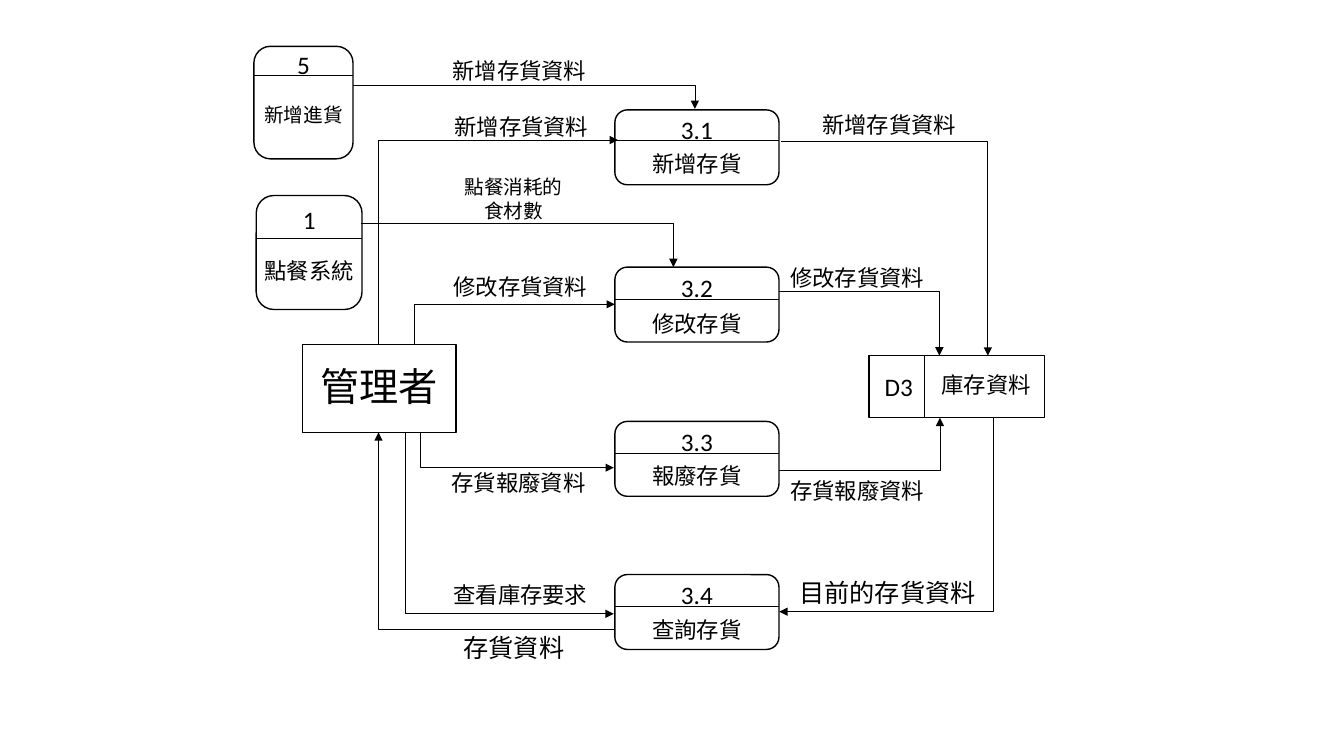
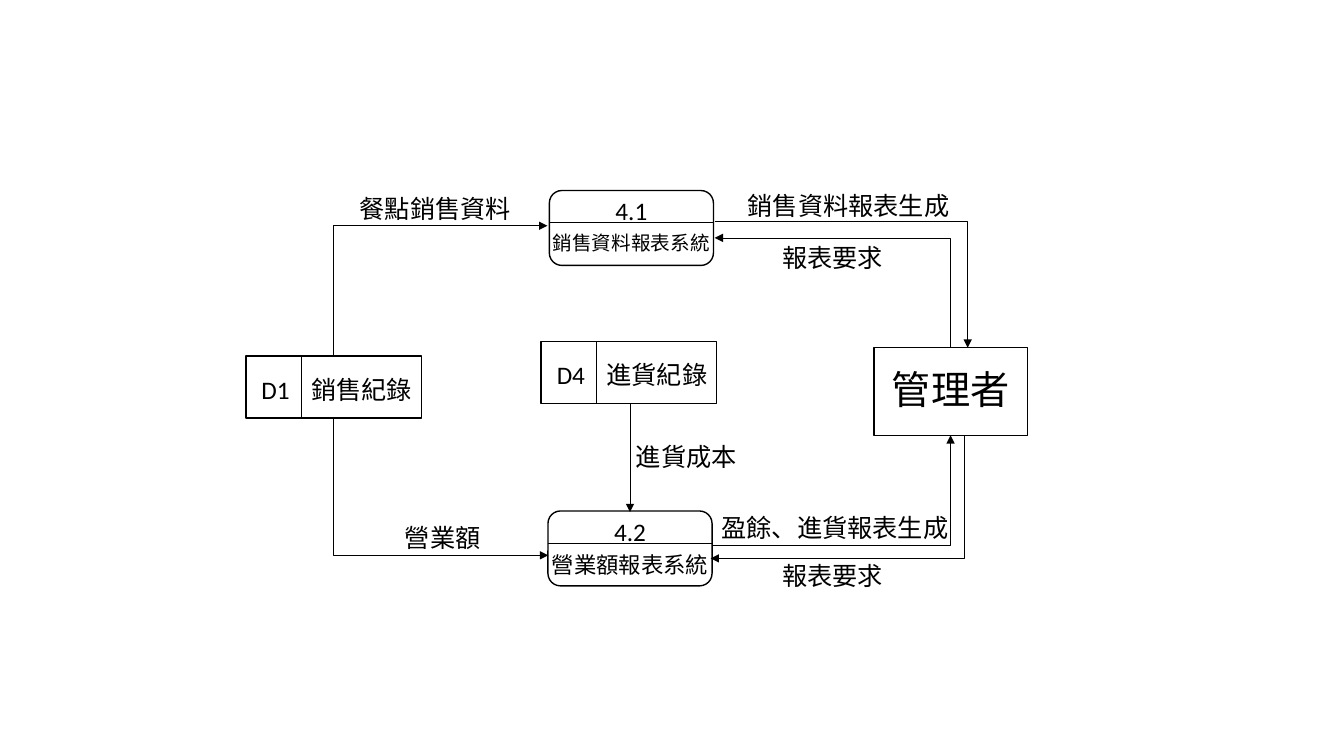
"""Draws two data-flow diagrams: stock management and report generation."""
from dataclasses import dataclass

from lxml import etree
from pptx import Presentation
from pptx.dml.color import RGBColor
from pptx.enum import shapes, text
from pptx.oxml import ns
from pptx.util import Pt


@dataclass(frozen=True)
class Theme:
    font: str = "Calibri"
    ink: RGBColor = RGBColor(0, 0, 0)
    outline: float = 1
    rule: float = 0.5
    small: int = 14
    body: int = 16
    large: int = 18
    actor: int = 28


T = Theme()
PROCESS = (117.2, 53.5)
STORE = (125.4, 44.4)
STORE_SPLIT = 39.6
ACTOR = (109.8, 62.8)
TO_SIDE, TO_EDGE = "headEnd", "tailEnd"

# Fields: processes = left, top, size, split, code offset, name offset, code, name, name size
#         stores = left, top, name offset, text offset, code, name, name size
#         flows = side end x, y, edge end x, y, arrow end
#         labels = left, top, width, text, size
STOCK = {
    "processes": [
        (181.4, 33.1, (70.8, 80.4), 20.5, -1.4, 36.7, "5", "新增進貨", T.small),
        (183, 139.7, (75.6, 81.4), 30.5, 2.9, 40.3, "1", "點餐系統", T.body),
        (439.2, 78.5, PROCESS, 21.6, -0.7, 25.2, "3.1", "新增存貨", T.body),
        (439.2, 190.8, PROCESS, 23, 0, 27.4, "3.2", "修改存貨", T.body),
        (439.2, 301, PROCESS, 22.5, 0, 25.9, "3.3", "報廢存貨", T.body),
        (439.2, 410.4, PROCESS, 23, 0, 25.9, "3.4", "查詢存貨", T.body),
    ],
    "stores": [(620.8, 254, 44.6, 7.9, "D3", "庫存資料", T.body)],
    "actor": (216, 246.2),
    "flows": [
        (252, 60.8, 496.4, 77.8, TO_EDGE),
        (441.4, 100.1, 270.4, 246.2, TO_SIDE),
        (257.8, 159.5, 481, 190.8, TO_EDGE),
        (439.2, 217.4, 295.9, 246.2, TO_SIDE),
        (438.5, 334.1, 300.2, 308.9, TO_SIDE),
        (438.5, 438.5, 289.4, 308.9, TO_SIDE),
        (438.5, 449.6, 270.4, 308.9, TO_EDGE),
        (558, 100.8, 705.6, 254, TO_EDGE),
        (556.6, 208.1, 671, 254, TO_EDGE),
        (556.6, 336.2, 671.4, 298.4, TO_EDGE),
        (556.6, 437, 709.8, 298.4, TO_SIDE),
    ],
    "straight": [],
    "labels": [
        (316.1, 37.4, 117, "新增存貨資料", T.body),
        (317.5, 77, 117, "新增存貨資料", T.body),
        (318.2, 121.7, 97.2, "點餐消耗的食材數", T.small),
        (316.8, 191.5, 117, "修改存貨資料", T.body),
        (315.4, 331.2, 117, "存貨報廢資料", T.body),
        (316.8, 411.8, 117, "查看庫存要求", T.body),
        (324, 447.8, 114, "存貨資料", T.large),
        (580.3, 75.6, 117, "新增存貨資料", T.body),
        (557.3, 185, 117, "修改存貨資料", T.body),
        (557.3, 337, 117, "存貨報廢資料", T.body),
        (563.8, 409, 168, "目前的存貨資料", T.large),
    ],
}

REPORTS = {
    "processes": [
        (392.4, 136.1, PROCESS, 23, 0, 25.2, "4.1", "銷售資料報表系統", T.small),
        (391.4, 365, PROCESS, 23, 0, 25.2, "4.2", "營業額報表系統", T.body),
    ],
    "stores": [
        (175.7, 254.2, 39.6, 10, "D1", "銷售紀錄", T.large),
        (386.6, 243.8, 39.6, 9.6, "D4", "進貨紀錄", T.large),
    ],
    "actor": (624.2, 248.4),
    "flows": [
        (391, 161.3, 238.3, 254.2, TO_SIDE),
        (391.7, 396.7, 238.3, 298.8, TO_SIDE),
        (510.5, 158.4, 691.2, 248.4, TO_EDGE),
        (510.5, 169.9, 678.8, 248.4, TO_SIDE),
        (508.3, 389.5, 679, 311, TO_EDGE),
        (507.6, 398.9, 689, 311, TO_SIDE),
    ],
    "straight": [(450, 288.2, 450, 365.8)],
    "labels": [
        (249.8, 134.6, 143, "餐點銷售資料", T.large),
        (282.2, 369.4, 91, "營業額", T.large),
        (551.5, 169.2, 109, "報表要求", T.large),
        (527, 132.5, 162, "銷售資料報表生成", T.large),
        (551.5, 396.7, 109, "報表要求", T.large),
        (508.3, 362.2, 207, "盈餘、進貨報表生成", T.large),
        (447.1, 311.8, 109, "進貨成本", T.large),
    ],
}


def style(p, size, align):
    p.alignment = align
    p.font.name, p.font.size = T.font, Pt(size)
    p.font.color.rgb = T.ink


def add_label(s, x, y, w, words, size, align=text.PP_ALIGN.LEFT):
    tf = s.shapes.add_textbox(Pt(x), Pt(y), Pt(w), Pt(size * 1.2 + 7.2)).text_frame
    tf.word_wrap = True
    tf.text = words
    style(tf.paragraphs[0], size, align)


def add_box(s, x, y, size, kind=shapes.MSO_SHAPE.RECTANGLE):
    sp = s.shapes.add_shape(kind, Pt(x), Pt(y), *map(Pt, size))
    sp.shadow.inherit = False
    sp.fill.background()
    sp.line.color.rgb, sp.line.width = T.ink, Pt(T.outline)
    return sp


def add_line(s, x1, y1, x2, y2, arrow=None, kind=shapes.MSO_CONNECTOR.STRAIGHT):
    c = s.shapes.add_connector(kind, Pt(x1), Pt(y1), Pt(x2), Pt(y2))
    c.line.color.rgb, c.line.width = T.ink, Pt(T.rule)
    sp_pr = c._element.spPr
    etree.SubElement(sp_pr, ns.qn("a:effectLst"))
    if arrow:
        etree.SubElement(sp_pr.find(ns.qn("a:ln")), ns.qn("a:" + arrow), type="triangle")
    return c


def add_flow(s, x1, y1, x2, y2, arrow):
    c = add_line(s, x1, y1, x2, y2, arrow, shapes.MSO_CONNECTOR.ELBOW)
    guides = c._element.spPr.find(ns.qn("a:prstGeom")).find(ns.qn("a:avLst"))
    etree.SubElement(guides, ns.qn("a:gd"), name="adj1", fmla="val 100000")


def add_process(s, x, y, size, split, code_dy, name_dy, code, name, name_size):
    w = size[0]
    add_box(s, x, y, size, shapes.MSO_SHAPE.ROUNDED_RECTANGLE)
    add_line(s, x, y + split, x + w, y + split)
    center = text.PP_ALIGN.CENTER
    add_label(s, x, y + code_dy, w, code, T.large, center)
    add_label(s, x - 10, y + name_dy, w + 20, name, name_size, center)


def add_store(s, x, y, name_dx, text_dy, code, name, name_size):
    w, h = STORE
    add_box(s, x, y, STORE)
    add_line(s, x + STORE_SPLIT, y, x + STORE_SPLIT, y + h)
    add_label(s, x + 4, y + text_dy, STORE_SPLIT, code, T.large)
    add_label(s, x + name_dx, y + text_dy, w - name_dx + 7, name, name_size)


def add_actor(s, x, y):
    tf = add_box(s, x, y, ACTOR).text_frame
    tf.text = "管理者"
    tf.vertical_anchor = text.MSO_ANCHOR.MIDDLE
    p = tf.paragraphs[0]
    style(p, T.actor, text.PP_ALIGN.CENTER)
    p.line_spacing, p.space_before = 0.9, Pt(10)


def add_diagram(prs, diagram):
    s = prs.slides.add_slide(prs.slide_layouts[6])
    for process in diagram["processes"]:
        add_process(s, *process)
    for store in diagram["stores"]:
        add_store(s, *store)
    add_actor(s, *diagram["actor"])
    for flow in diagram["flows"]:
        add_flow(s, *flow)
    for ends in diagram["straight"]:
        add_line(s, *ends, TO_EDGE)
    for label in diagram["labels"]:
        wraps = len(label[3]) * label[4] > label[2]
        add_label(s, *label, text.PP_ALIGN.CENTER if wraps else text.PP_ALIGN.LEFT)


def main():
    prs = Presentation()
    prs.slide_width, prs.slide_height = Pt(960), Pt(540)
    for diagram in (STOCK, REPORTS):
        add_diagram(prs, diagram)
    prs.save("out.pptx")


if __name__ == "__main__":
    main()
